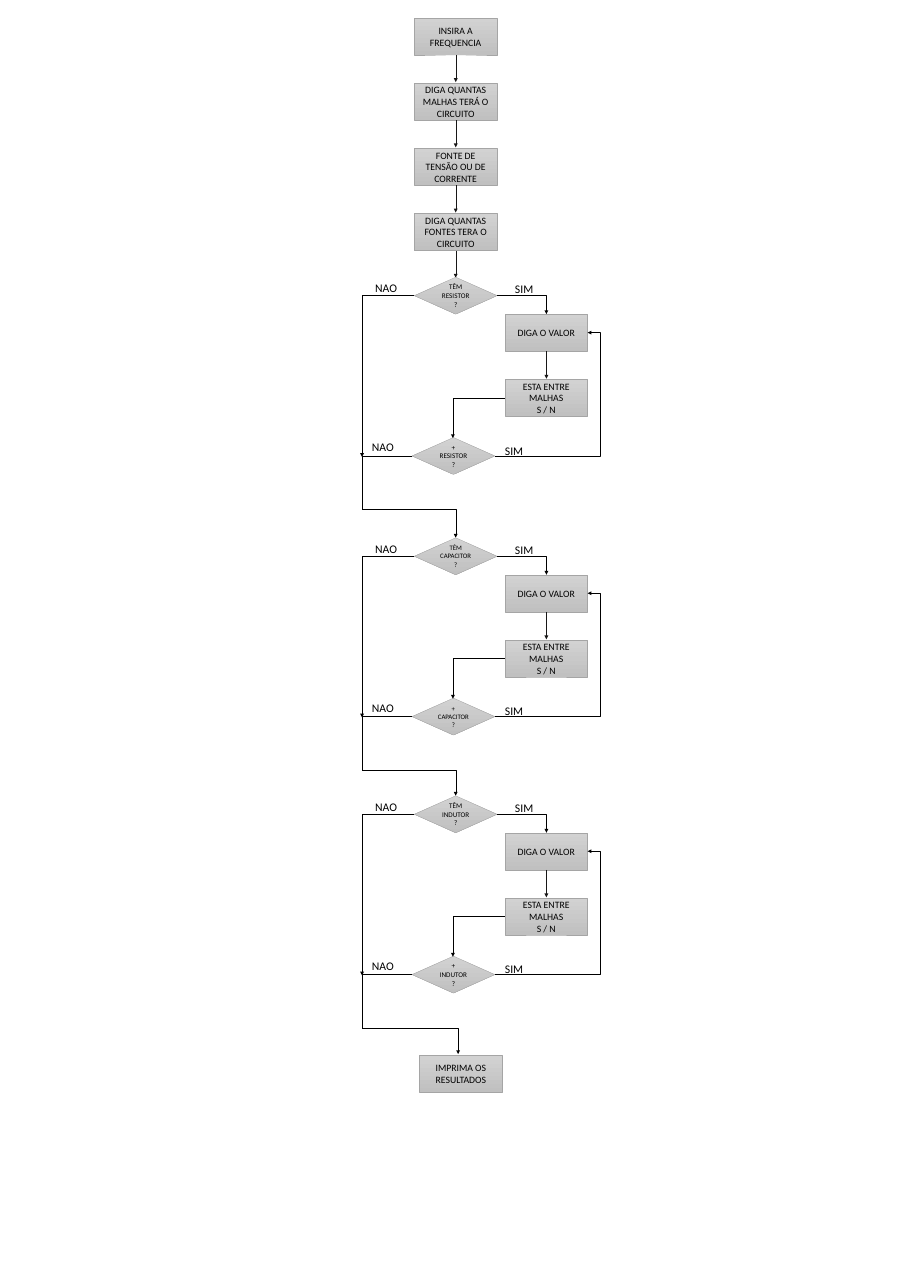
from dataclasses import dataclass

from lxml import etree
from pptx import Presentation
from pptx import util as u
from pptx.dml.color import RGBColor
from pptx.enum import shapes, text
from pptx.oxml.ns import qn

BLACK = RGBColor(0x00, 0x00, 0x00)
INK = RGBColor(0x18, 0x17, 0x17)
EDGE = RGBColor(0xA5, 0xA5, 0xA5)
LIGHT = RGBColor(0xD2, 0xD2, 0xD2)
DARK = RGBColor(0xC0, 0xC0, 0xC0)

FONT = "Calibri"
WIDTH, HEIGHT = 127.5, 57
MAIN_LEFT, MAIN_X = 638.5, 702.25   # main column: left edge and centre
MORE_LEFT, MORE_X = 635, 698        # "one more?" diamonds
SIDE_LEFT, SIDE_X = 778, 842        # right column
BYPASS_X = 558
INTRO_TOP, INTRO_STEP = 27.5, 100.5

RECT = shapes.MSO_SHAPE.RECTANGLE
DIAMOND = shapes.MSO_SHAPE.DIAMOND


@dataclass(frozen=True)
class Node:
    """A step or a question of the flowchart, one line per paragraph."""
    lines: tuple[str, ...]
    left: float
    top: float
    kind: shapes.MSO_SHAPE = RECT
    size: float = 15


@dataclass(frozen=True)
class Link:
    """A line between two points; bend is the turn's share of the width."""
    start: tuple[float, float]
    end: tuple[float, float]
    bend: float | None = None
    arrow: bool = True


@dataclass(frozen=True)
class Stage:
    """The questions about one kind of component."""
    component: str
    top: float
    size: float = 11


def draw_node(page, node: Node) -> None:
    """Draw a grey gradient shape with centred text."""
    box = page.shapes.add_shape(node.kind, u.Pt(node.left), u.Pt(node.top),
                                u.Pt(WIDTH), u.Pt(HEIGHT))
    box.shadow.inherit = False
    box.fill.gradient()
    box.fill.gradient_angle = 270
    for stop, colour in zip(box.fill.gradient_stops, (LIGHT, DARK)):
        stop.color.rgb = colour
    box.line.color.rgb = EDGE
    box.line.width = u.Pt(0.5)
    frame = box.text_frame
    frame.word_wrap = True
    frame.vertical_anchor = text.MSO_ANCHOR.MIDDLE
    frame.text = "\n".join(node.lines)
    for para in frame.paragraphs:
        para.alignment = text.PP_ALIGN.CENTER
        para.font.name = FONT
        para.font.size = u.Pt(node.size)
        para.font.color.rgb = BLACK


def draw_link(page, link: Link) -> None:
    """Draw a straight or elbow connector."""
    straight = link.bend is None
    kind = shapes.MSO_CONNECTOR.STRAIGHT if straight else shapes.MSO_CONNECTOR.ELBOW
    line = page.shapes.add_connector(kind, *map(u.Pt, link.start + link.end))
    line.line.color.rgb = INK if straight else BLACK
    line.line.width = u.Pt(0.5)
    properties = line._element.spPr
    if not straight:
        guides = properties.find(qn("a:prstGeom")).find(qn("a:avLst"))
        etree.SubElement(guides, qn("a:gd"), name="adj1",
                         fmla=f"val {round(link.bend * 100000)}")
    if link.arrow:
        etree.SubElement(properties.find(qn("a:ln")), qn("a:tailEnd"), type="triangle")
    etree.SubElement(properties, qn("a:effectLst"))


def draw_answer(page, answer: str, left: float, top: float) -> None:
    """Write an answer beside a branch."""
    box = page.shapes.add_textbox(u.Pt(left), u.Pt(top), u.Pt(69), u.Pt(50))
    frame = box.text_frame
    frame.word_wrap = True
    frame.text = answer
    para = frame.paragraphs[0]
    para.font.name = FONT
    para.font.size = u.Pt(18)
    para.font.color.rgb = BLACK


def draw_stage(page, stage: Stage, exit_x: float, exit_y: float) -> None:
    """Draw the loop for one component and its way out to the next step."""
    top = stage.top
    nodes = (
        Node(("TÊM", stage.component, "?"), MAIN_LEFT, top, DIAMOND, stage.size),
        Node(("DIGA O VALOR",), SIDE_LEFT, top + 57),
        Node(("ESTA ENTRE MALHAS", "S / N"), SIDE_LEFT, top + 157.5),
        Node((f"+ {stage.component}", "?"), MORE_LEFT, top + 247, DIAMOND, stage.size),
    )
    more_y, exit_turn = top + 275.5, top + 357.5
    links = (
        Link((MAIN_LEFT + WIDTH, top + 28.5), (SIDE_X, top + 57), 1),
        Link((MAIN_LEFT, top + 28.5), (BYPASS_X, top + 277), 1),
        Link((SIDE_X, top + 114), (SIDE_X, top + 156.5)),
        Link((SIDE_LEFT, top + 186), (MORE_X, top + 248), 1),
        Link((MORE_LEFT + WIDTH, more_y), (SIDE_LEFT + WIDTH, top + 85.5), 1.13),
        Link((MORE_LEFT, more_y), (BYPASS_X, exit_turn), 1, arrow=False),
        Link((BYPASS_X, exit_turn), (exit_x, exit_y), 1),
    )
    for node in nodes:
        draw_node(page, node)
    for link in links:
        draw_link(page, link)
    for answer, left, drop in (("SIM", 786.5, 4), ("NAO", 571, 2.5),
                               ("SIM", 771, 252.5), ("NAO", 566, 247.5)):
        draw_answer(page, answer, left, top + drop)


INTRO = (
    "INSIRA A FREQUENCIA",
    "DIGA QUANTAS MALHAS TERÁ O CIRCUITO",
    "FONTE DE TENSÃO OU DE CORRENTE",
    "DIGA QUANTAS FONTES TERA O CIRCUITO",
)
STAGES = (
    Stage("RESISTOR", 427),
    Stage("CAPACITOR", 828.5, 10.5),
    Stage("INDUTOR", 1226),
)
RESULT = Node(("IMPRIMA OS RESULTADOS",), 646.5, 1626)

deck = Presentation()
deck.slide_width, deck.slide_height = u.Pt(1417.68), u.Pt(1984.32)
page = deck.slides.add_slide(deck.slide_layouts[6])

for index, step in enumerate(INTRO):
    top = INTRO_TOP + index * INTRO_STEP
    draw_node(page, Node((step,), MAIN_LEFT, top))
    draw_link(page, Link((MAIN_X, top + HEIGHT), (MAIN_X, top + INTRO_STEP - 1.5)))

exits = [(MAIN_X, stage.top) for stage in STAGES[1:]] + [(706, RESULT.top - 2)]
for stage, (exit_x, exit_y) in zip(STAGES, exits):
    draw_stage(page, stage, exit_x, exit_y)
draw_node(page, RESULT)

deck.save("out.pptx")
